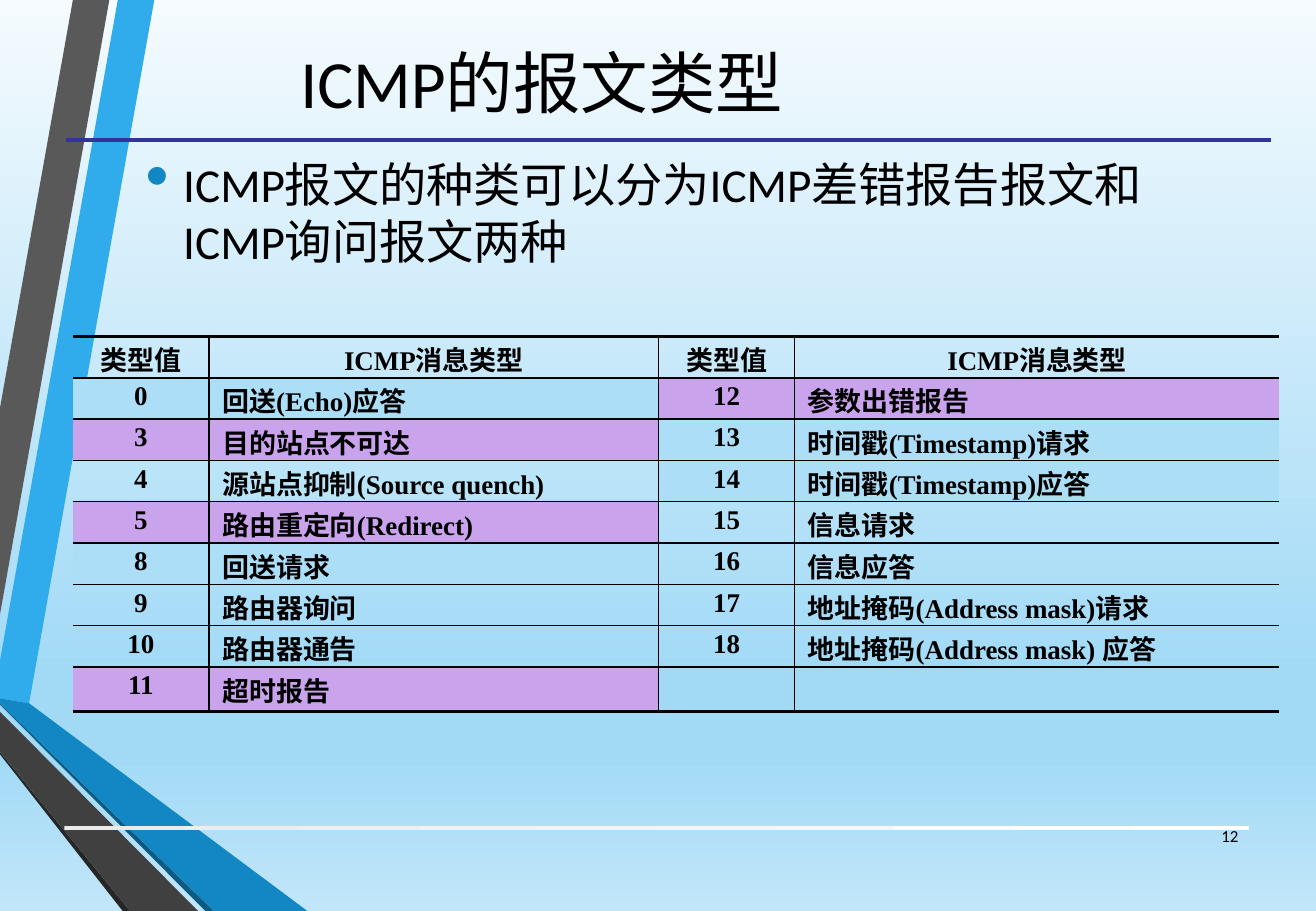
from lxml import etree
from pptx import Presentation, util as u
from pptx.dml.color import RGBColor
from pptx.enum import shapes, text
from pptx.oxml.ns import qn

PX = 9144  # 100 px to the inch
BLACK = RGBColor(0, 0, 0)
SKY = RGBColor(0x30, 0xAC, 0xEC)
BLUE = RGBColor(0x12, 0x87, 0xC3)
DEEP = RGBColor(0x0C, 0x5A, 0x82)
GREY = RGBColor(0x59, 0x59, 0x59)
DARK = RGBColor(0x40, 0x40, 0x40)
COAL = RGBColor(0x26, 0x26, 0x26)
NAVY = RGBColor(0x33, 0x33, 0x99)
PALE = RGBColor(0xAC, 0xDE, 0xF7)
LILAC = RGBColor(0xCA, 0xA3, 0xED)
MIST = RGBColor(0xEB, 0xEB, 0xEB)
WHITE = RGBColor(0xFF, 0xFF, 0xFF)
TOP = RGBColor(0xF5, 0xFB, 0xFE)
MID = RGBColor(0xA2, 0xDA, 0xF6)
LOW = RGBColor(0xC1, 0xE6, 0xF9)

LEFT, MIDDLE, RIGHT = text.PP_ALIGN.LEFT, text.PP_ALIGN.CENTER, text.PP_ALIGN.RIGHT


def px(n):
    return u.Emu(n * PX)


def sub(node, tag, **attrs):
    return etree.SubElement(node, qn(tag), attrs)


class Deck:
    font = "Calibri"
    serif = "Times New Roman"

    def __init__(self, wide, high):
        self.prs = Presentation()
        self.prs.slide_width, self.prs.slide_height = px(wide), px(high)
        self.slide = self.prs.slides.add_slide(self.prs.slide_layouts[6])
        self.shapes = self.slide.shapes

    def blend(self, fill, root, stops, angle):
        fill.gradient()
        fill.gradient_angle = angle
        group = root.find(".//" + qn("a:gsLst"))
        for old in list(group):
            group.remove(old)
        for pos, color in stops:
            stop = sub(group, "a:gs", pos=str(pos * 1000))
            sub(stop, "a:srgbClr", val=str(color))

    def back(self, stops):
        self.blend(self.slide.background.fill, self.slide.element, stops, 270)

    def band(self, color, points):
        pen = self.shapes.build_freeform(*points[0], scale=PX)
        pen.add_line_segments(points[1:], close=True)
        shape = pen.convert_to_shape()
        shape.shadow.inherit = False
        shape.fill.solid()
        shape.fill.fore_color.rgb = color
        shape.line.fill.background()

    def bar(self, x, y, w, h, stops):
        shape = self.shapes.add_shape(shapes.MSO_SHAPE.RECTANGLE, px(x), px(y), px(w), px(h))
        shape.shadow.inherit = False
        self.blend(shape.fill, shape.element, stops, 0)
        shape.line.fill.background()

    def rule(self, x, y, end, color, width):
        line = self.shapes.add_connector(shapes.MSO_CONNECTOR.STRAIGHT, px(x), px(y), px(end), px(y))
        line.line.color.rgb = color
        line.line.width = u.Pt(width)
        sub(line.element.spPr, "a:effectLst")

    def style(self, para, size, align, font, bold=False):
        para.alignment = align
        for run in para.runs:
            run.font.size, run.font.name, run.font.bold = u.Pt(size), font, bold
            run.font.color.rgb = BLACK

    def label(self, x, y, w, h, words, size, align=LEFT, anchor=text.MSO_ANCHOR.MIDDLE):
        frame = self.shapes.add_textbox(px(x), px(y), px(w), px(h)).text_frame
        frame.word_wrap = True
        frame.vertical_anchor = anchor
        frame.text = words
        para = frame.paragraphs[0]
        self.style(para, size, align, self.font)
        return para

    def bullet(self, para, color, indent, scale):
        para.space_before, para.space_after = u.Pt(5.6), u.Pt(6)
        props = para._p.get_or_add_pPr()
        props.set("marL", str(px(indent)))
        props.set("indent", str(-px(indent)))
        sub(sub(props, "a:buClr"), "a:srgbClr", val=str(color))
        sub(props, "a:buSzPct", val=str(scale * 1000))
        sub(props, "a:buChar", char="•")

    def edge(self, cell, side, width):
        line = sub(cell._tc.get_or_add_tcPr(), "a:ln" + side, w=str(u.Pt(width)))
        if width:
            sub(sub(line, "a:solidFill"), "a:srgbClr", val=str(BLACK))
        else:
            sub(line, "a:noFill")

    def table(self, x, y, cols, high, rows, fills, size):
        last, end = len(rows) - 1, len(cols) - 1
        table = self.shapes.add_table(len(rows), len(cols), px(x), px(y),
                                      px(sum(cols)), px(high * len(rows))).table
        table.first_row = table.horz_banding = False
        for col, width in zip(table.columns, cols):
            col.width = px(width)
        for r, row in enumerate(rows):
            table.rows[r].height = px(high)
            for c, words in enumerate(row):
                cell = table.cell(r, c)
                cell.margin_left = cell.margin_right = px(11)
                cell.margin_top = cell.margin_bottom = px(5)
                self.edge(cell, "L", 1 if c else 0)
                self.edge(cell, "R", 1 if c < end else 0)
                self.edge(cell, "T", 1 if r else 2)
                self.edge(cell, "B", 1 if r < last else 2)
                color = fills.get((r, c // 2))
                if color is None:
                    cell.fill.background()
                else:
                    cell.fill.solid()
                    cell.fill.fore_color.rgb = color
                cell.text_frame.text = words
                para = cell.text_frame.paragraphs[0]
                para.line_spacing = 0.9
                self.style(para, size, LEFT if r and c % 2 else MIDDLE, self.serif, True)
                if not words:
                    para._p.get_or_add_endParaRPr().set("sz", str(size * 100))


HEAD = ("类型值", "ICMP消息类型")
ROWS = [
    HEAD + HEAD,
    ("0", "回送(Echo)应答", "12", "参数出错报告"),
    ("3", "目的站点不可达", "13", "时间戳(Timestamp)请求"),
    ("4", "源站点抑制(Source quench)", "14", "时间戳(Timestamp)应答"),
    ("5", "路由重定向(Redirect)", "15", "信息请求"),
    ("8", "回送请求", "16", "信息应答"),
    ("9", "路由器询问", "17", "地址掩码(Address mask)请求"),
    ("10", "路由器通告", "18", "地址掩码(Address mask) 应答"),
    ("11", "超时报告", "", ""),
]
# Fill by row and table half; error reports are lilac
FILLS = {
    (1, 0): PALE, (5, 0): PALE, (2, 1): PALE, (3, 1): PALE,
    (2, 0): LILAC, (4, 0): LILAC, (8, 0): LILAC, (1, 1): LILAC,
}
BANDS = [
    (SKY, [(0, 544), (0, 575), (24, 579), (127, 0), (97, 0)]),
    (GREY, [(90, 0), (60, 0), (0, 336), (0, 506)]),
    (COAL, [(0, 619), (0, 621), (101, 750), (107, 750)]),
    (DEEP, [(0, 579), (0, 580), (169, 750), (176, 750)]),
    (BLUE, [(0, 579), (176, 750), (253, 750), (24, 579), (0, 575)]),
    (DARK, [(0, 619), (107, 750), (163, 750), (0, 586)]),
]


def main():
    deck = Deck(1083, 750)

    # Backdrop and ribbons
    deck.back([(0, TOP), (74, MID), (83, MID), (100, LOW)])
    for color, points in BANDS:
        deck.band(color, points)

    # Rules
    deck.bar(53, 680, 975, 3, [(0, MIST), (100, WHITE)])
    deck.rule(54, 115, 1046, NAVY, 2.25)

    # Title and lead
    deck.label(43, 5, 818, 124, "ICMP的报文类型 ", 40, MIDDLE)
    lead = deck.label(110, 123, 904, 104, "ICMP报文的种类可以分为ICMP差错报告报文和ICMP询问报文两种",
                      28, anchor=text.MSO_ANCHOR.TOP)
    deck.bullet(lead, BLUE, 31, 145)

    # Message types
    deck.table(60, 277, (112, 370, 112, 399), 34, ROWS, FILLS, 16)

    # Page number
    deck.label(978, 668, 51, 40, "12", 10, RIGHT)

    deck.prs.save("out.pptx")


if __name__ == "__main__":
    main()
